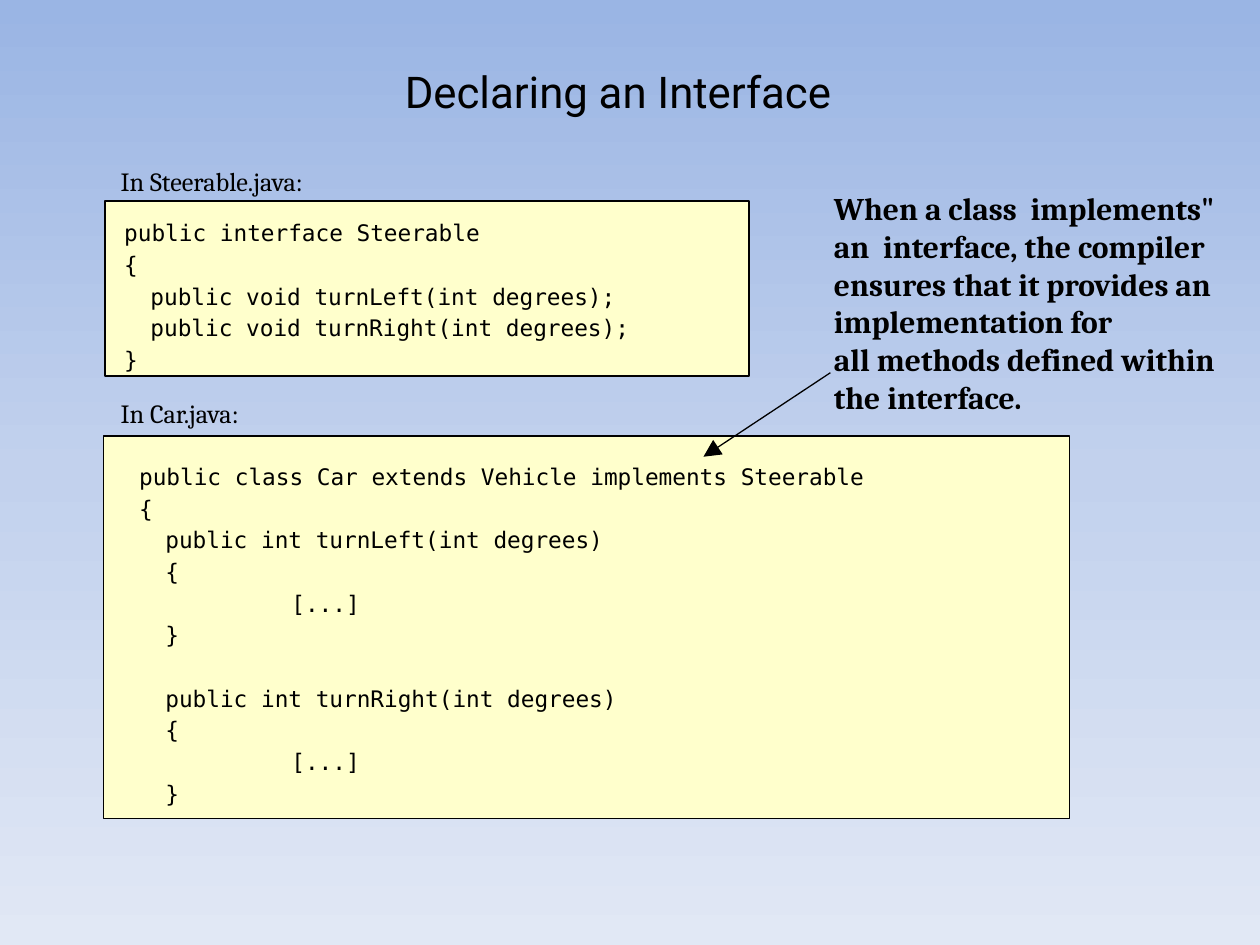
from copy import deepcopy

from pptx import Presentation
from pptx.dml.color import RGBColor
from pptx.enum.shapes import MSO_CONNECTOR, MSO_SHAPE
from pptx.enum.text import MSO_ANCHOR, MSO_AUTO_SIZE, PP_ALIGN
from pptx.oxml.ns import qn
from pptx.util import Pt
from lxml import etree

ROUNDED = MSO_SHAPE.ROUNDED_RECTANGLE
STRAIGHT = MSO_CONNECTOR.STRAIGHT
TOP = MSO_ANCHOR.TOP
NO_FIT = MSO_AUTO_SIZE.NONE
LEFT = PP_ALIGN.LEFT

CODE_INDENTS = [0, 15, 87]
CODE_SPACING = 2.5
BLANK_LINE = 18

METHOD_BODY = [(1, "{"), (2, "[...]"), (1, "}")]
STEERABLE_CODE = [
    (0, "public interface Steerable"),
    (0, "{"),
    (1, "public void turnLeft(int degrees);"),
    (1, "public void turnRight(int degrees);"),
    (0, "}"),
]
CAR_CODE = [
    (0, "public class Car extends Vehicle implements Steerable"),
    (0, "{"),
    (1, "public int turnLeft(int degrees)"),
    *METHOD_BODY,
    (1, "public int turnRight(int degrees)"),
    *METHOD_BODY,
]
EXPLANATION = [
    'When a class  implements" an  interface, the compiler ensures that it provides an implementation for',
    "all methods defined within the interface.",
]


def color(value):
    return RGBColor.from_string(value)


class SlideBuilder:
    title_font = "Roboto"
    text_font = "Cambria"
    code_font = "DejaVu Sans Mono"
    ink = "000000"
    panel_fill = "FFFFCC"
    line_width = 0.75

    def __init__(self, slide):
        self.slide = slide

    def background(self, top, middle, bottom):
        fill = self.slide.background.fill
        fill.gradient()
        fill.gradient_angle = 270
        stop_list = self.slide.element.find(".//" + qn("a:gsLst"))
        stop_list.insert(1, deepcopy(stop_list[0]))
        for stop, position, value in zip(fill.gradient_stops, (0, 0.5, 1), (top, middle, bottom)):
            stop.position = position
            stop.color.rgb = color(value)

    def prepare(self, shape):
        frame = shape.text_frame
        frame.word_wrap = True
        frame.auto_size = NO_FIT
        frame.vertical_anchor = TOP
        frame.margin_left = frame.margin_right = 0
        frame.margin_top = frame.margin_bottom = 0
        return frame

    def format(self, frame, font, size, bold=False):
        for paragraph in frame.paragraphs:
            paragraph.alignment = LEFT
            for run in paragraph.runs:
                run.font.name = font
                run.font.size = Pt(size)
                run.font.bold = bold
                run.font.color.rgb = color(self.ink)

    def title(self, text, left, top, width, height):
        shape = self.slide.shapes.title
        shape.left, shape.top = Pt(left), Pt(top)
        shape.width, shape.height = Pt(width), Pt(height)
        frame = self.prepare(shape)
        frame.text = text
        self.format(frame, self.title_font, 25)

    def text(self, lines, left, top, width, height, size, bold=False):
        shape = self.slide.shapes.add_textbox(Pt(left), Pt(top), Pt(width), Pt(height))
        frame = self.prepare(shape)
        frame.text = "\n".join(lines)
        self.format(frame, self.text_font, size, bold)

    def panel(self, left, top, width, height):
        shape = self.slide.shapes.add_shape(ROUNDED, Pt(left), Pt(top), Pt(width), Pt(height))
        shape.adjustments[0] = 0
        shape.shadow.inherit = False
        shape.fill.solid()
        shape.fill.fore_color.rgb = color(self.panel_fill)
        shape.line.color.rgb = color(self.ink)
        shape.line.width = Pt(self.line_width)

    def code(self, lines, left, top, width, height, gap_before=None):
        shape = self.slide.shapes.add_textbox(Pt(left), Pt(top), Pt(width), Pt(height))
        frame = self.prepare(shape)
        frame.text = "\n".join(text for _, text in lines)
        self.format(frame, self.code_font, 13)
        for index, (paragraph, (depth, _)) in enumerate(zip(frame.paragraphs, lines)):
            paragraph._p.get_or_add_pPr().set("marL", str(Pt(CODE_INDENTS[depth])))
            if index:
                gap = BLANK_LINE if index == gap_before else 0
                paragraph.space_before = Pt(CODE_SPACING + gap)

    def arrow(self, start_x, start_y, end_x, end_y):
        connector = self.slide.shapes.add_connector(
            STRAIGHT, Pt(start_x), Pt(start_y), Pt(end_x), Pt(end_y)
        )
        connector.line.color.rgb = color(self.ink)
        connector.line.width = Pt(self.line_width)
        line = connector.line._get_or_add_ln()
        etree.SubElement(line, qn("a:tailEnd"), type="triangle", w="lg", len="lg")
        etree.SubElement(connector._element.spPr, qn("a:effectLst"))


def main():
    presentation = Presentation()
    presentation.slide_width, presentation.slide_height = Pt(720), Pt(540)
    builder = SlideBuilder(presentation.slides.add_slide(presentation.slide_layouts[5]))
    builder.background("9AB5E4", "C2D1ED", "E1E8F5")
    builder.title("Declaring an Interface", 231.3, 37, 345, 30)

    builder.panel(60, 114.8, 368, 100)
    builder.code(STEERABLE_CODE, 71, 125.2, 319, 87)
    builder.text(["In Steerable.java:"], 69, 94.5, 120, 18, 15)

    builder.panel(59, 249.2, 552, 218.5)
    builder.code(CAR_CODE, 79.5, 264.4, 472, 217, gap_before=6)
    builder.text(["In Car.java:"], 69, 227.2, 80, 18, 15)

    builder.text(EXPLANATION, 476.5, 108, 225.5, 131, 18, bold=True)
    builder.arrow(474.5, 213, 402, 261)
    presentation.save("out.pptx")


if __name__ == "__main__":
    main()
